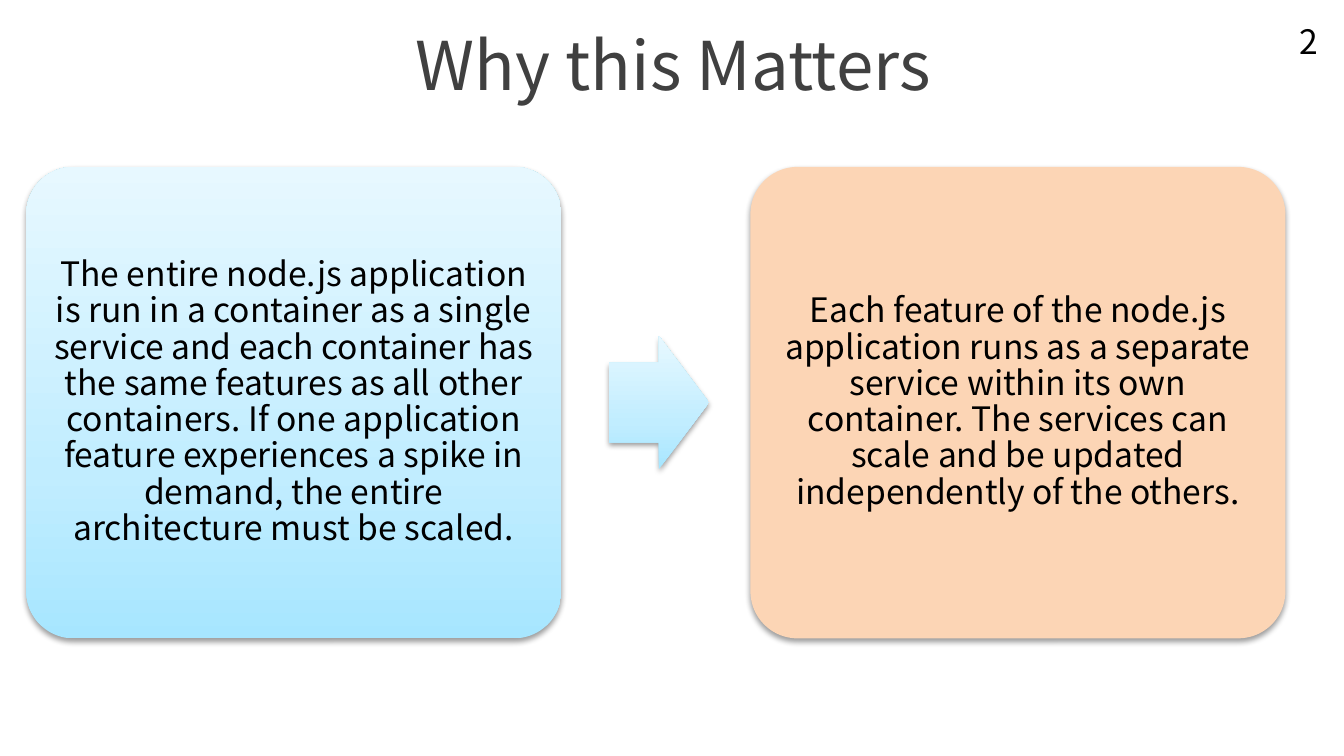
from lxml import etree
from pptx import Presentation
from pptx.dml.color import RGBColor
from pptx.enum.shapes import MSO_SHAPE
from pptx.enum.text import MSO_ANCHOR, PP_ALIGN
from pptx.util import Pt

ROUNDED, ARROW = MSO_SHAPE.ROUNDED_RECTANGLE, MSO_SHAPE.RIGHT_ARROW
CENTER, MIDDLE = PP_ALIGN.CENTER, MSO_ANCHOR.MIDDLE
FONT = "Noto Sans CJK KR"
DRAWING = "{http://schemas.openxmlformats.org/drawingml/2006/main}"
TITLE_ONLY = 5
COLORS = {"title": "404040", "text": "000000", "peach": "FCD5B5"}
BLUE_STOPS = {0: "A7E6FF", 35: "C1EDFF", 100: "E7F8FF"}

CARD_TOP, CARD_WIDTH, CARD_HEIGHT = 89.4, 286.6, 252.6
CARDS = [
    (14.1, BLUE_STOPS,
     "The entire node.js application is run in a container as a single service "
     "and each container has the same features as all other containers. If one "
     "application feature experiences a spike in demand, the entire architecture "
     "must be scaled."),
    (402, COLORS["peach"],
     "Each feature of the node.js application runs as a separate service within "
     "its own container. The services can scale and be updated independently of "
     "the others."),
]


class SlideBuilder:
    """Holds the slide and its style, and adds elements in points."""

    def __init__(self, presentation):
        """Start a title-only slide."""
        self.slide = presentation.slides.add_slide(
            presentation.slide_layouts[TITLE_ONLY])

    def set_text(self, shape, text, color="text", size=18, inset=7.2, spacing=1):
        """Put centred text into a shape."""
        frame = shape.text_frame
        frame.text = text
        formats = {"word_wrap": True, "vertical_anchor": MIDDLE}
        for side in ("left", "top", "right", "bottom"):
            formats["margin_" + side] = Pt(inset)
        for name, value in formats.items():
            setattr(frame, name, value)
        paragraph = frame.paragraphs[0]
        paragraph.alignment, paragraph.line_spacing = CENTER, spacing
        font = paragraph.runs[0].font
        for name, value in {"name": FONT, "size": Pt(size)}.items():
            setattr(font, name, value)
        font.color.rgb = RGBColor.from_string(COLORS[color])

    def title(self, text, box):
        """Place and fill the title placeholder."""
        title = self.slide.shapes.title
        for name, value in zip(("left", "top", "width", "height"), box):
            setattr(title, name, Pt(value))
        self.set_text(title, text, "title", 36)

    def text(self, text, box):
        """Add a text box."""
        self.set_text(self.slide.shapes.add_textbox(*map(Pt, box)), text)

    def shape(self, kind, box, fill, adjustments):
        """Add a borderless shape with a soft shadow; a dict fill is a gradient."""
        shape = self.slide.shapes.add_shape(kind, *map(Pt, box))
        for index, value in enumerate(adjustments):
            shape.adjustments[index] = value
        shape.line.fill.background()
        if isinstance(fill, dict):
            self.gradient(shape, fill)
        else:
            shape.fill.solid()
            shape.fill.fore_color.rgb = RGBColor.from_string(fill)
        self.shadow(shape)
        return shape

    def gradient(self, shape, stops):
        """Fill a shape from bottom to top with the given stops."""
        shape.fill.gradient()
        shape.fill.gradient_angle = 90
        stop_list = next(shape.element.spPr.iter(DRAWING + "gsLst"))
        for stop in list(stop_list):
            stop_list.remove(stop)
        for position, color in stops.items():
            stop = etree.SubElement(stop_list, DRAWING + "gs", pos=str(position * 1000))
            etree.SubElement(stop, DRAWING + "srgbClr", val=color)

    def shadow(self, shape):
        """Cast a soft shadow straight down."""
        shape.shadow.inherit = False
        effects = shape.element.spPr.find(DRAWING + "effectLst")
        outer = etree.SubElement(
            effects, DRAWING + "outerShdw", blurRad=str(int(Pt(3.1))),
            dist=str(int(Pt(1.6))), dir="5400000", rotWithShape="0")
        color = etree.SubElement(outer, DRAWING + "srgbClr", val="000000")
        etree.SubElement(color, DRAWING + "alpha", val="38000")


def main():
    """Build the slide and save it."""
    presentation = Presentation()
    presentation.slide_width, presentation.slide_height = Pt(720), Pt(405)
    builder = SlideBuilder(presentation)
    builder.title("Why this Matters", (0.7, 0, 720, 67.7))
    for left, fill, text in CARDS:
        card = builder.shape(
            ROUNDED, (left, CARD_TOP, CARD_WIDTH, CARD_HEIGHT), fill, [0.1])
        builder.set_text(card, text, inset=5.2, spacing=0.9)
    builder.shape(ARROW, (326.2, 180, 53.6, 71.3), BLUE_STOPS, [0.6, 0.5])
    builder.text("2", (689, 15.1, 16.6, 13.7))
    presentation.save("out.pptx")


main()
